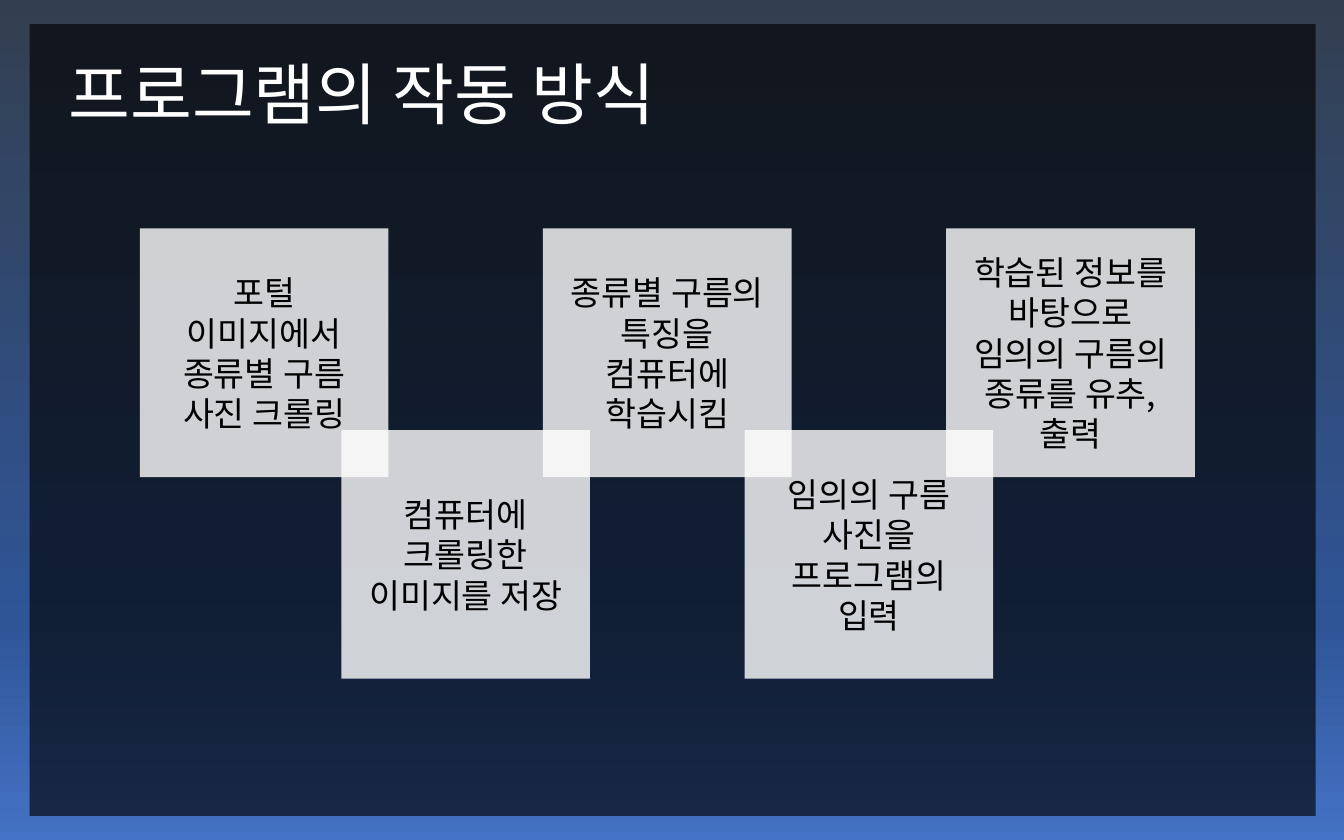
from copy import deepcopy
from lxml.etree import SubElement
from pptx import Presentation
from pptx.dml.color import RGBColor
from pptx.enum.shapes import MSO_SHAPE
from pptx.enum.text import MSO_ANCHOR, MSO_AUTO_SIZE, PP_ALIGN
from pptx.oxml.ns import qn
from pptx.util import Inches, Pt

FONT = "Noto Sans CJK KR"
STEPS = [
    "포털 이미지에서 종류별 구름 사진 크롤링",
    "컴퓨터에 크롤링한 이미지를 저장",
    "종류별 구름의 특징을 컴퓨터에 학습시킴",
    "임의의 구름 사진을 프로그램의 입력",
    "학습된 정보를 바탕으로 임의의 구름의 종류를 유추, 출력",
]


def color(code):
    return RGBColor.from_string(code)


def style(para, size, code, align):
    para.alignment = align
    font = para.font
    font.size = Pt(size)
    font.color.rgb = color(code)
    font.name = FONT
    props = para._p.pPr.find(qn("a:defRPr"))
    SubElement(props, qn("a:ea")).set("typeface", FONT)


def add_pane(slide, left, top, width, height, code, alpha):
    pane = slide.shapes.add_shape(
        MSO_SHAPE.RECTANGLE, Inches(left), Inches(top), Inches(width), Inches(height))
    pane.shadow.inherit = False
    pane.line.fill.background()
    pane.fill.solid()
    pane.fill.fore_color.rgb = color(code)
    tint = pane._element.spPr.find(qn("a:solidFill"))[0]
    SubElement(tint, qn("a:alpha")).set("val", str(alpha * 1000))
    return pane


def paint_back(slide):
    fill = slide.background.fill
    fill.gradient()
    fill.gradient_angle = 270
    first = slide._element.find(".//" + qn("a:gs"))
    first.addnext(deepcopy(first))
    stops = [(0, "333F50"), (0.74, "2F5597"), (1, "4472C4")]
    for stop, (place, code) in zip(fill.gradient_stops, stops):
        stop.position = place
        stop.color.rgb = color(code)


def add_title(slide, left, top, width, height):
    title = slide.shapes.title
    title.left, title.top = Inches(left), Inches(top)
    title.width, title.height = Inches(width), Inches(height)
    frame = title.text_frame
    frame.text = "프로그램의 작동 방식"
    frame.auto_size = MSO_AUTO_SIZE.NONE
    frame.vertical_anchor = MSO_ANCHOR.TOP
    style(frame.paragraphs[0], 36, "FFFFFF", PP_ALIGN.LEFT)
    slide.shapes._spTree.append(title._element)


def add_steps(slide, left, top, side, pitch):
    for i, text in enumerate(STEPS):
        card = add_pane(slide, left + i * pitch, top + i % 2 * pitch,
                        side, side, "FFFFFF", 80)
        frame = card.text_frame
        frame.word_wrap = True
        frame.vertical_anchor = MSO_ANCHOR.MIDDLE
        frame.text = text
        style(frame.paragraphs[0], 18, "000000", PP_ALIGN.CENTER)


def main():
    deck = Presentation()
    deck.slide_width, deck.slide_height = Inches(10), Inches(6.25)
    slide = deck.slides.add_slide(deck.slide_layouts[5])
    paint_back(slide)
    add_pane(slide, 0.22, 0.18, 9.57, 5.89, "000000", 64)
    add_steps(slide, 1.04, 1.7, 1.85, 1.5)
    add_title(slide, 0.41, 0.34, 4.72, 0.71)
    deck.save("out.pptx")


if __name__ == "__main__":
    main()
